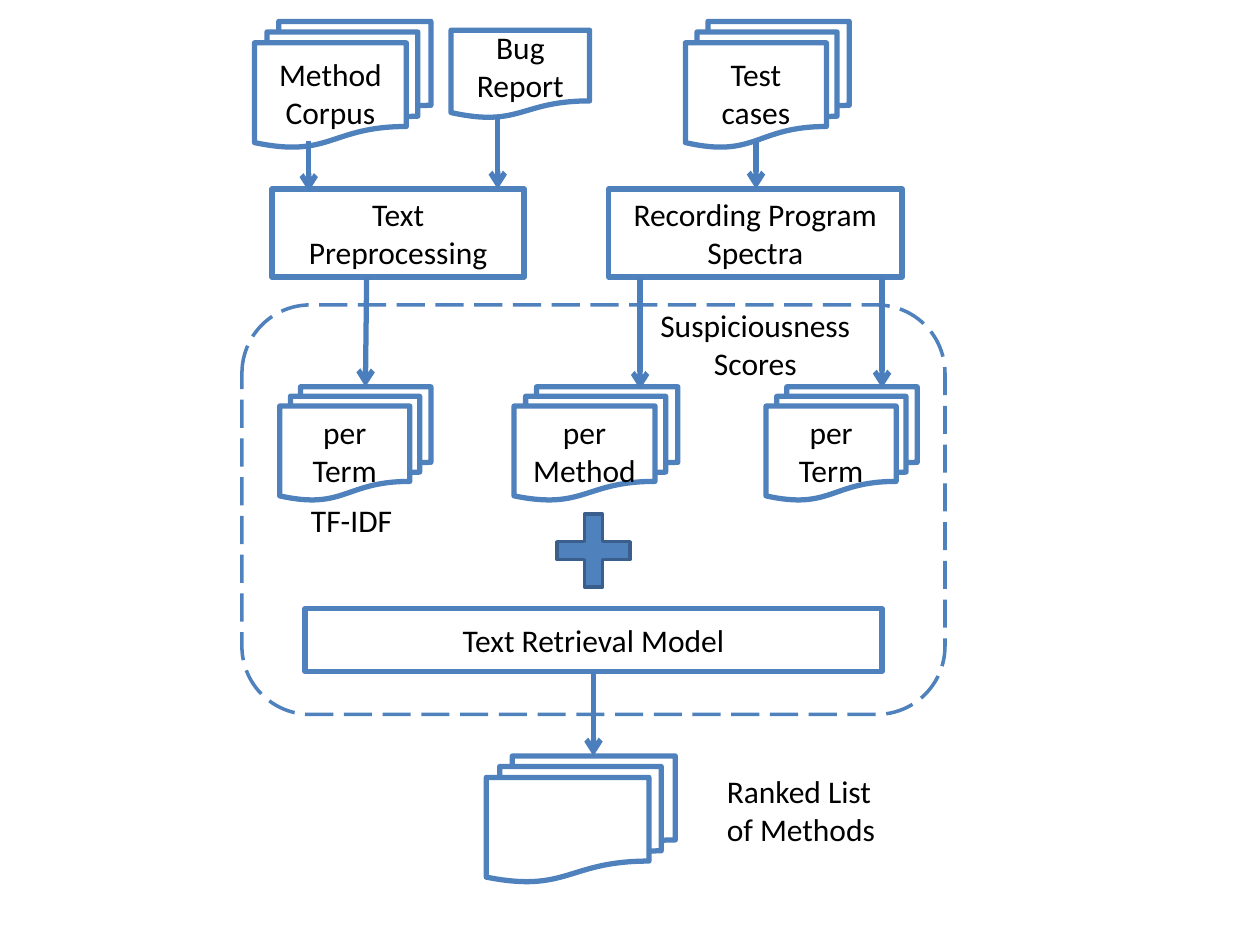
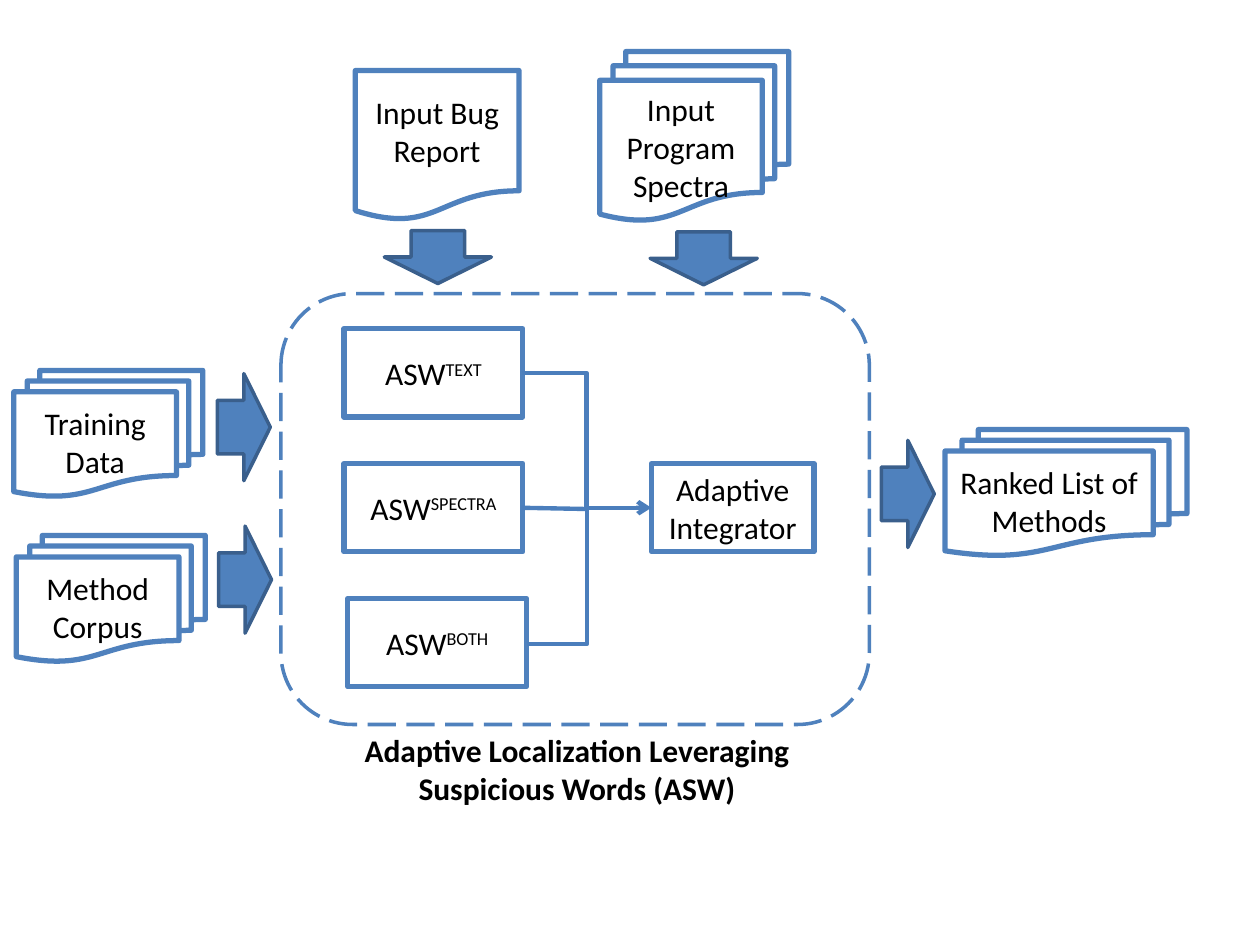
from dataclasses import dataclass
from enum import Enum

from lxml.etree import SubElement
from pptx import Presentation
from pptx.dml.color import RGBColor as Rgb
from pptx.enum.dml import MSO_LINE as Dash
from pptx.enum.shapes import MSO_CONNECTOR as Link
from pptx.enum.shapes import MSO_SHAPE as Form
from pptx.enum.text import MSO_ANCHOR as Anchor
from pptx.enum.text import MSO_AUTO_SIZE as Fit
from pptx.enum.text import PP_ALIGN as Align
from pptx.oxml.ns import qn
from pptx.slide import Slide
from pptx.text.text import TextFrame
from pptx.util import Inches, Pt

COLS, ROWS = 100, 75
WIDE, HIGH = Inches(10), Inches(7.5)


@dataclass(frozen=True)
class Theme:
    font: str = "Calibri"
    size: int = 18
    raised: int = 30000
    ink: Rgb = Rgb(0, 0, 0)
    paper: Rgb = Rgb(255, 255, 255)
    blue: Rgb = Rgb(0x4F, 0x81, 0xBD)
    edge: Rgb = Rgb(0x3A, 0x5F, 0x8C)
    wire: Rgb = Rgb(0x4B, 0x7E, 0xBC)
    thin: float = 2
    mid: float = 2.5
    bold: float = 3


THEME = Theme()


@dataclass(frozen=True)
class Look:
    form: Form
    fill: Rgb = THEME.paper
    line: Rgb = THEME.blue
    width: float = THEME.bold
    dash: Dash | None = None
    turn: int = 0
    adj: float | None = None


class Kind(Enum):
    FRAME = Look(Form.ROUNDED_RECTANGLE, width=THEME.thin, dash=Dash.LONG_DASH)
    BOX = Look(Form.RECTANGLE)
    DOC = Look(Form.FLOWCHART_DOCUMENT)
    STACK = Look(Form.FLOWCHART_MULTIDOCUMENT)
    PLUS = Look(Form.CROSS, THEME.blue, THEME.edge, THEME.thin, adj=0.378)
    DOWN = Look(Form.DOWN_ARROW, THEME.blue, THEME.edge, THEME.thin)
    RIGHT = Look(Form.DOWN_ARROW, THEME.blue, THEME.edge, THEME.thin, turn=270)


@dataclass(frozen=True)
class Node:
    """A shape on the grid; text after ^ is raised."""
    kind: Kind
    x: float
    y: float
    w: float
    h: float
    text: str = ""


@dataclass(frozen=True)
class Note:
    x: float
    y: float
    w: float
    h: float
    text: str
    align: Align = Align.CENTER
    bold: bool = False


@dataclass(frozen=True)
class Wire:
    x1: float
    y1: float
    x2: float
    y2: float
    width: float = THEME.bold
    head: bool = True
    bend: str = ""


def col(n: float) -> int:
    return round(WIDE * n / COLS)


def row(n: float) -> int:
    return round(HIGH * n / ROWS)


def write(frame: TextFrame, text: str, align: Align = Align.CENTER,
          bold: bool = False) -> None:
    frame.word_wrap = True
    base, _, top = text.partition("^")
    para = frame.paragraphs[0]
    para.text = base
    para.alignment = align
    if top:
        run = para.add_run()
        run.text = top
        run.font._element.set("baseline", str(THEME.raised))
    for run in para.runs:
        font = run.font
        font.name, font.size, font.bold = THEME.font, Pt(THEME.size), bold
        font.color.rgb = THEME.ink


def draw_node(slide: Slide, node: Node) -> None:
    look = node.kind.value
    shape = slide.shapes.add_shape(
        look.form, col(node.x), row(node.y), col(node.w), row(node.h))
    shape.shadow.inherit = False
    shape.rotation = look.turn
    if look.adj is not None:
        shape.adjustments[0] = look.adj
    shape.fill.solid()
    shape.fill.fore_color.rgb = look.fill
    shape.line.color.rgb = look.line
    shape.line.width = Pt(look.width)
    if look.dash:
        shape.line.dash_style = look.dash
    if node.text:
        shape.text_frame.vertical_anchor = Anchor.MIDDLE
        write(shape.text_frame, node.text)


def draw_note(slide: Slide, note: Note) -> None:
    box = slide.shapes.add_textbox(
        col(note.x), row(note.y), col(note.w), row(note.h))
    write(box.text_frame, note.text, note.align, note.bold)
    box.text_frame.auto_size = Fit.SHAPE_TO_FIT_TEXT


def draw_wire(slide: Slide, wire: Wire) -> None:
    line = slide.shapes.add_connector(
        Link.ELBOW if wire.bend else Link.STRAIGHT,
        col(wire.x1), row(wire.y1), col(wire.x2), row(wire.y2))
    line.line.color.rgb = THEME.wire
    line.line.width = Pt(wire.width)
    props = line._element.spPr
    if wire.bend:
        props.find(qn("a:prstGeom")).set("prst", wire.bend)
    if wire.head:
        SubElement(props.find(qn("a:ln")), qn("a:tailEnd"), type="arrow")
    SubElement(props, qn("a:effectLst"))


DRAW = {Node: draw_node, Note: draw_note, Wire: draw_wire}
Part = Node | Note | Wire

FLOW: list[Part] = [
    Node(Kind.FRAME, 19.2, 24.2, 55.8, 32.5),
    Node(Kind.STACK, 20.2, 1.7, 14, 10, "Method Corpus"),
    Node(Kind.DOC, 35.8, 2.4, 11, 7, "Bug Report"),
    Node(Kind.STACK, 54.4, 1.7, 13, 10, "Test cases"),
    Node(Kind.BOX, 21.6, 15, 20, 7, "Text Preprocessing"),
    Node(Kind.BOX, 48.3, 15, 23.3, 7, "Recording Program Spectra"),
    Node(Kind.STACK, 22.2, 30.7, 12, 9, "per Term"),
    Node(Kind.STACK, 40.8, 30.7, 13, 9, "per Method"),
    Node(Kind.STACK, 60.8, 30.7, 12, 9, "per Term"),
    Note(50.8, 23.8, 18.3, 7.1, "Suspiciousness Scores"),
    Note(20.8, 39.3, 14.2, 4, "TF-IDF"),
    Node(Kind.PLUS, 44.2, 40.8, 5.8, 5.8),
    Node(Kind.BOX, 24.2, 48.3, 45.8, 5, "Text Retrieval Model"),
    Node(Kind.STACK, 38.6, 60, 15, 10),
    Note(56.7, 60.8, 15, 7.1, "Ranked List of Methods", Align.LEFT),
    Wire(24.5, 11.2, 24.5, 15.2),
    Wire(39.5, 9.2, 39.5, 15),
    Wire(60, 11.3, 60, 15),
    Wire(29.1, 22, 29, 30.7),
    Wire(50.8, 22, 50.8, 30.9),
    Wire(70, 22, 70, 30.8),
    Wire(47.1, 53.3, 47.1, 60),
]

MODES = [(27.3, "TEXT"), (27.3, "SPECTRA"), (27.6, "BOTH")]
TOP, STEP = 26.1, 10.7

ADAPT: list[Part] = [
    Node(Kind.FRAME, 22.3, 23.3, 46.7, 34.2),
    *(Node(Kind.BOX, x, TOP + i * STEP, 14.2, 7, f"ASW^{mode}")
      for i, (x, mode) in enumerate(MODES)),
    Node(Kind.BOX, 51.7, TOP + STEP, 12.9, 7, "Adaptive Integrator"),
    Note(25, 57.5, 41.6, 7.1,
         "Adaptive Localization Leveraging Suspicious Words (ASW)", bold=True),
    Node(Kind.DOC, 28.2, 5.6, 13, 11.9, "Input Bug Report"),
    Node(Kind.STACK, 47.6, 4.1, 15, 13.4, "Input Program Spectra"),
    Node(Kind.STACK, 1.1, 29.4, 15, 10, "Training Data"),
    Node(Kind.STACK, 1.3, 42.5, 15, 10, "Method Corpus"),
    Node(Kind.STACK, 75, 34.1, 19.2, 10, "Ranked List of Methods"),
    Wire(41.4, 29.6, 51.7, 40.3, THEME.mid, bend="bentConnector3"),
    Wire(41.4, 40.3, 46.6, 40.4, THEME.mid, head=False),
    Wire(41.8, 51.1, 46.6, 40.4, THEME.mid, False, "bentConnector2"),
    *(Node(kind, x, y, 8.5, 4.2) for kind, x, y in [
        (Kind.DOWN, 30.5, 18.3), (Kind.DOWN, 51.6, 18.4),
        (Kind.RIGHT, 15.1, 31.8), (Kind.RIGHT, 15.2, 43.9),
        (Kind.RIGHT, 67.8, 37.1)]),
]


def main() -> None:
    deck = Presentation()
    deck.slide_width, deck.slide_height = WIDE, HIGH
    blank = deck.slide_layouts[6]
    for parts in (FLOW, ADAPT):
        slide = deck.slides.add_slide(blank)
        for part in parts:
            DRAW[type(part)](slide, part)
    deck.save("out.pptx")


if __name__ == "__main__":
    main()
